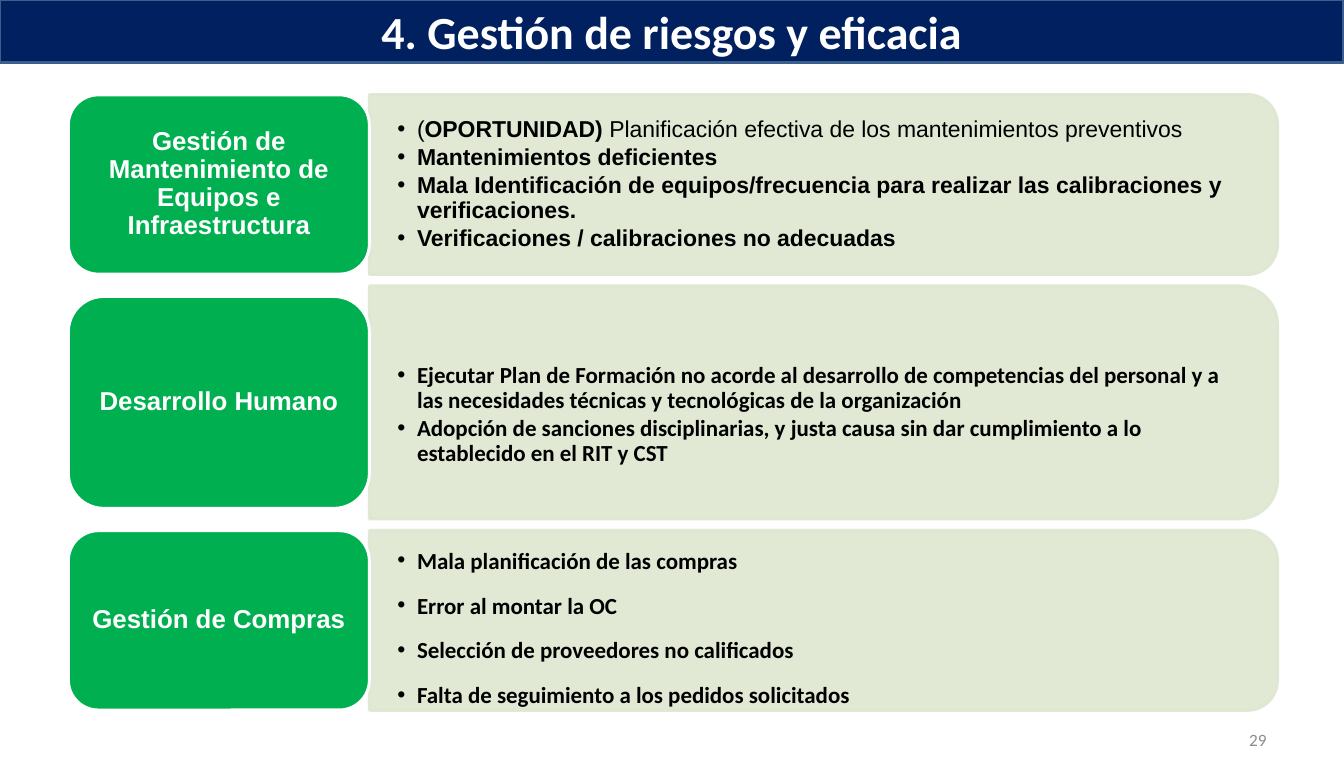
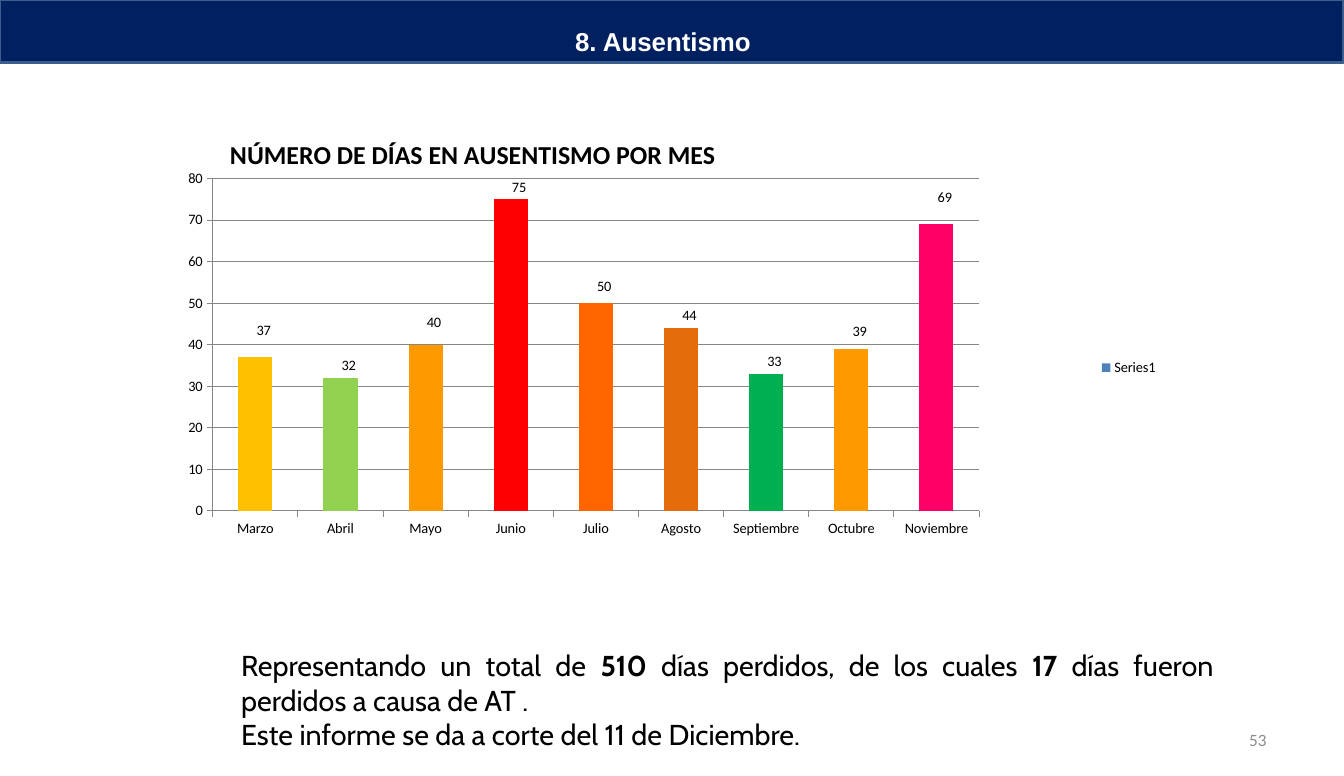
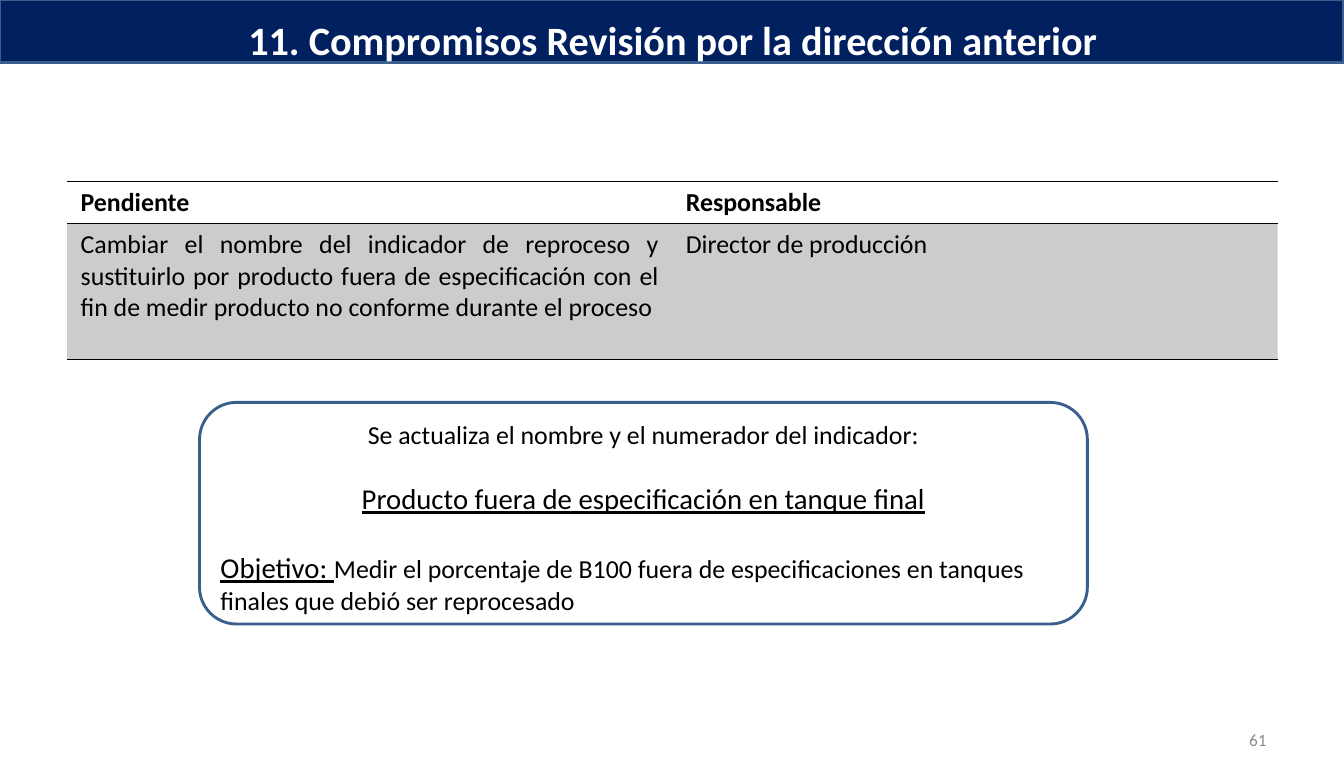
from lxml import etree
from pptx import Presentation
from pptx import util as u
from pptx.chart.data import CategoryChartData
from pptx.dml.color import RGBColor
from pptx.enum import chart as ch, shapes, text
from pptx.oxml.ns import qn

Cm, Pt = u.Cm, u.Pt
ALIGN, ANCHOR = text.PP_ALIGN, text.MSO_ANCHOR
COLORS = {
    "navy": "002060", "edge": "3A5F8C", "green": "00B050", "panel": "DEE7D1",
    "white": "FFFFFF", "black": "000000", "number": "8C8C8C",
    "series": "4F81BD", "grid": "868686",
}
NO_STYLE_TABLE = "{2D5ABB26-0587-4C30-8999-92F81FD0307C}"


def rgb(name):
    return RGBColor.from_string(COLORS.get(name, name))


def make_transparent(properties, opacity):
    """Set the opacity, in percent, of the fill and line in these properties."""
    for color in properties.iter(qn("a:srgbClr")):
        etree.SubElement(color, qn("a:alpha"), val=str(opacity * 1000))


def set_layout(parent, index, **places):
    """Give a chart part a manual layout, as its child number index."""
    for old in parent.findall(qn("c:layout")):
        parent.remove(old)
    layout = etree.Element(qn("c:layout"))
    manual = etree.SubElement(layout, qn("c:manualLayout"))
    for tag, value in places.items():
        etree.SubElement(manual, qn("c:" + tag), val=str(value))
    parent.insert(index, layout)


class Deck:
    def __init__(self):
        self.prs = Presentation()
        self.prs.slide_width, self.prs.slide_height = Cm(33), Cm(19.05)
        self.slide = None

    # Slide frame: band, title and number
    def start(self, title, number, box, size, font="Calibri",
              align=ALIGN.CENTER, anchor=ANCHOR.MIDDLE):
        self.slide = self.prs.slides.add_slide(self.prs.slide_layouts[5])
        heading = self.slide.shapes.title
        heading.left, heading.top, heading.width, heading.height = map(Cm, box)
        self.fill_text(heading.text_frame, [title], anchor=anchor, size=size,
                       font=font, color="white", bold=True, align=align)
        band = self.shape(shapes.MSO_SHAPE.RECTANGLE, (0, 0, 33, 1.53), "navy", "edge")
        heading.element.addprevious(band.element)
        self.text_box((23.65, 17.65, 7.7, 1.02), [str(number)], anchor=ANCHOR.MIDDLE,
                      size=12, color="number", align=ALIGN.RIGHT)

    # Text
    def fill_text(self, frame, paragraphs, anchor=ANCHOR.TOP, insets=(0.25, 0.13), **style):
        frame.word_wrap = True
        frame.auto_size = text.MSO_AUTO_SIZE.NONE
        frame.vertical_anchor = anchor
        frame.margin_left = frame.margin_right = Cm(insets[0])
        frame.margin_top = frame.margin_bottom = Cm(insets[1])
        for i, content in enumerate(paragraphs):
            paragraph = frame.paragraphs[0] if i == 0 else frame.add_paragraph()
            self.paragraph(paragraph, content, **style)

    def paragraph(self, paragraph, content, size=18, font="Calibri", color="black",
                  bold=False, align=ALIGN.LEFT, spacing=None, after=None,
                  before=None, bullet=False):
        """Content is a string, or a list of strings and (string, format) pairs."""
        paragraph.alignment = align
        paragraph.line_spacing = spacing
        if after:
            paragraph.space_after = Pt(after)
        if before:
            paragraph.space_before = Pt(before)
        if bullet:
            props = paragraph._p.get_or_add_pPr()
            props.set("marL", str(Cm(0.48)))
            props.set("indent", str(-Cm(0.48)))
            etree.SubElement(props, qn("a:buFont"), typeface="Arial")
            etree.SubElement(props, qn("a:buChar"), char="•")
        paragraph.font.name, paragraph.font.size = font, Pt(size)
        paragraph.font.color.rgb = rgb(color)
        paragraph.font.bold = bold
        for part in [content] if isinstance(content, str) else content:
            words, formats = (part, {}) if isinstance(part, str) else part
            run = paragraph.add_run()
            run.text = words
            for attribute, value in formats.items():
                setattr(run.font, attribute, value)

    def text_box(self, box, paragraphs, **style):
        frame = self.slide.shapes.add_textbox(*map(Cm, box)).text_frame
        self.fill_text(frame, paragraphs, **style)
        return frame

    # Shapes
    def shape(self, kind, box, fill, line):
        shape = self.slide.shapes.add_shape(kind, *map(Cm, box))
        shape.shadow.inherit = False
        if fill:
            shape.fill.solid()
            shape.fill.fore_color.rgb = rgb(fill)
        else:
            shape.fill.background()
        shape.line.color.rgb = rgb(line)
        shape.line.width = Pt(2)
        return shape

    def process_row(self, top, height, label_height, process, risks, extra_top=0, **style):
        left, label_width, panel_width = 1.68, 7.39, 22.3
        panel_left, middle = left + label_width, top + height / 2
        # The panel is a tall shape turned by 90 degrees about its centre
        panel = self.shape(
            shapes.MSO_SHAPE.ROUND_2_SAME_RECTANGLE,
            (panel_left + (panel_width - height) / 2, middle - panel_width / 2,
             height, panel_width), "panel", "panel")
        panel.rotation = 90
        make_transparent(panel.element.spPr, 90)
        frame = self.text_box((panel_left, top, 22, height), risks, anchor=ANCHOR.MIDDLE,
                              insets=(0.69, 0.36), size=16, after=2.4, bullet=True, **style)
        frame.margin_top += Cm(extra_top)
        label = self.shape(shapes.MSO_SHAPE.ROUNDED_RECTANGLE,
                           (left, middle - label_height / 2, label_width, label_height),
                           "green", "white")
        self.fill_text(label.text_frame, [process], anchor=ANCHOR.MIDDLE, insets=(0.18, 0.1),
                       font="Arial", color="white", bold=True, align=ALIGN.CENTER, spacing=0.9)

    # Table
    def table(self, box, heights, rows):
        table = self.slide.shapes.add_table(len(rows), len(rows[0]), *map(Cm, box)).table
        table._tbl.tblPr.find(qn("a:tableStyleId")).text = NO_STYLE_TABLE
        table.horz_banding = False
        for r, row in enumerate(rows):
            table.rows[r].height = Cm(heights[r])
            for c, words in enumerate(row):
                cell = table.cell(r, c)
                header = r == 0
                justified = not header and c == 0
                cell.margin_left = cell.margin_right = Cm(0.33)
                cell.margin_top = cell.margin_bottom = Cm(0.13)
                self.paragraph(cell.text_frame.paragraphs[0], words, bold=header,
                               align=ALIGN.JUSTIFY if justified else ALIGN.LEFT)
                if header:
                    cell.fill.background()
                else:
                    cell.fill.solid()
                    cell.fill.fore_color.rgb = rgb("black")
                    make_transparent(cell._tc.get_or_add_tcPr(), 20)
                self.cell_borders(cell, ("lnT", "lnB") if header else ("lnB",))

    def cell_borders(self, cell, sides):
        for i, side in enumerate(sides):
            line = etree.Element(qn("a:" + side), w=str(Pt(1)))
            fill = etree.SubElement(line, qn("a:solidFill"))
            etree.SubElement(fill, qn("a:srgbClr"), val=COLORS["black"])
            cell._tc.get_or_add_tcPr().insert(i, line)

    # Chart
    def column_chart(self, box, title, points):
        """Points are (category, value, colour, label lift)."""
        data = CategoryChartData()
        data.categories = [point[0] for point in points]
        data.add_series("Series1", [point[1] for point in points])
        chart = self.slide.shapes.add_chart(
            ch.XL_CHART_TYPE.COLUMN_CLUSTERED, *map(Cm, box), data).chart
        chart.font.name, chart.font.size = "Calibri", Pt(10)
        chart.font.color.rgb = rgb("black")

        chart.has_title = True
        self.paragraph(chart.chart_title.text_frame.paragraphs[0], title, bold=True)
        set_layout(chart.element.find(".//" + qn("c:title")), 1,
                   xMode="edge", yMode="edge", x=0.095, y=0.01)
        set_layout(chart.element.find(".//" + qn("c:plotArea")), 0, layoutTarget="inner",
                   xMode="edge", yMode="edge", x=0.083, y=0.107, w=0.735, h=0.691)
        chart.has_legend = True
        chart.legend.position = ch.XL_LEGEND_POSITION.RIGHT
        chart.legend.include_in_layout = False

        values = chart.value_axis
        values.minimum_scale, values.maximum_scale, values.major_unit = 0, 80, 10
        for line in (values.format.line, values.major_gridlines.format.line,
                     chart.category_axis.format.line):
            line.color.rgb = rgb("grid")
            line.width = Pt(0.75)

        plot = chart.plots[0]
        plot.gap_width, plot.vary_by_categories = 150, False
        series = plot.series[0]
        series.format.fill.solid()
        series.format.fill.fore_color.rgb = rgb("series")
        series.data_labels.show_value = True
        for i, (_, _, color, _) in enumerate(points):
            point = series.points[i]
            point.format.fill.solid()
            point.format.fill.fore_color.rgb = rgb(color)
            point.data_label.position = ch.XL_LABEL_POSITION.OUTSIDE_END
        # Labels are moved off their bars, without leader lines
        for leader in chart.element.iter(qn("c:showLeaderLines")):
            leader.set("val", "0")
        labels = chart.element.iter(qn("c:dLbl"))
        for label, (_, _, _, lift) in zip(list(labels), points):
            set_layout(label, 1, x=0.008, y=-lift)


def risks_slide(deck):
    deck.start("4. Gestión de riesgos y eficacia", 29, (1.68, 0, 29.64, 1.53), 32)
    rows = [
        (4.42, 4.4, "Gestión de Mantenimiento de Equipos e Infraestructura", [
            [("(", {"bold": False}), "OPORTUNIDAD) ",
             ("Planificación efectiva de los mantenimientos preventivos", {"bold": False})],
            "Mantenimientos deficientes",
            "Mala Identificación de equipos/frecuencia para realizar las calibraciones y "
            "verificaciones.",
            "Verificaciones / calibraciones no adecuadas",
        ], {"font": "Arial", "spacing": 0.9}),
        (5.72, 5.2, "Desarrollo Humano", [
            "Ejecutar Plan de Formación no acorde al desarrollo de competencias del personal "
            "y a las necesidades técnicas y tecnológicas de la organización",
            "Adopción de sanciones disciplinarias, y justa causa sin dar cumplimiento a lo "
            "establecido en el RIT y CST",
        ], {"spacing": 0.9, "extra_top": 0.62}),
        (4.42, 4.4, "Gestión de Compras", [
            "Mala planificación de las compras",
            "Error al montar la OC",
            "Selección de proveedores no calificados",
            "Falta de seguimiento a los pedidos solicitados",
        ], {"spacing": 1.5}),
    ]
    top, gap = 2.32, 0.28
    for height, label_height, process, risks, style in rows:
        deck.process_row(top, height, label_height, process, risks, bold=True, **style)
        top += height + gap


def absence_slide(deck):
    deck.start("8. Ausentismo", 53, (13.87, 0, 5.4, 2.03), 18, "Arial", ALIGN.LEFT)
    deck.column_chart((3.1, 3.12, 25.6, 11.81), "NÚMERO DE DÍAS EN AUSENTISMO POR MES", [
        ("Marzo", 37, "FFC000", 0.03), ("Abril", 32, "92D050", 0),
        ("Mayo", 40, "FF9900", 0.02), ("Junio", 75, "FF0000", 0),
        ("Julio", 50, "FF6600", 0.01), ("Agosto", 44, "E46C0A", 0),
        ("Septiembre", 33, "00B050", 0), ("Octubre", 39, "FF9900", 0.01),
        ("Noviembre", 69, "FF0066", 0.03),
    ])
    bold = {"bold": True}
    deck.text_box((5.59, 15.73, 24.54, 2.9), [
        ["Representando un total de ", ("510", bold), " días perdidos, de los cuales ",
         ("17 ", bold), "días fueron perdidos a causa de AT ."],
        "Este informe se da a corte del 11 de Diciembre.",
    ], insets=(0.33, 0.18), size=20, font="Cabin", align=ALIGN.JUSTIFY)


def commitments_slide(deck):
    deck.start("11. Compromisos Revisión por la dirección anterior", 61,
               (5.72, 0.25, 21.59, 1.45), 28, anchor=ANCHOR.TOP)
    deck.table((1.65, 4.45, 29.72, 4.37), (1.04, 3.33), [
        ("Pendiente", "Responsable"),
        ("Cambiar el nombre del indicador de reproceso y sustituirlo por producto fuera de "
         "especificación con el fin de medir producto no conforme durante el proceso",
         "Director de producción"),
    ])
    # Updated indicator
    indicator = deck.shape(shapes.MSO_SHAPE.ROUNDED_RECTANGLE, (4.9, 9.88, 21.8, 5.44),
                           None, "edge")
    frame = indicator.text_frame
    deck.fill_text(frame, ["Se actualiza el nombre y el numerador del indicador:"],
                   align=ALIGN.CENTER)
    underlined = {"underline": True, "size": Pt(20)}
    deck.paragraph(frame.add_paragraph(),
                   [("Producto fuera de especificación en tanque final", underlined)],
                   size=20, align=ALIGN.CENTER, before=22)
    deck.paragraph(frame.add_paragraph(), [
        ("Objetivo: ", underlined),
        "Medir el porcentaje de B100 fuera de especificaciones en tanques finales que "
        "debió ser reprocesado"], before=24)


def main():
    deck = Deck()
    risks_slide(deck)
    absence_slide(deck)
    commitments_slide(deck)
    deck.prs.save("out.pptx")


if __name__ == "__main__":
    main()
